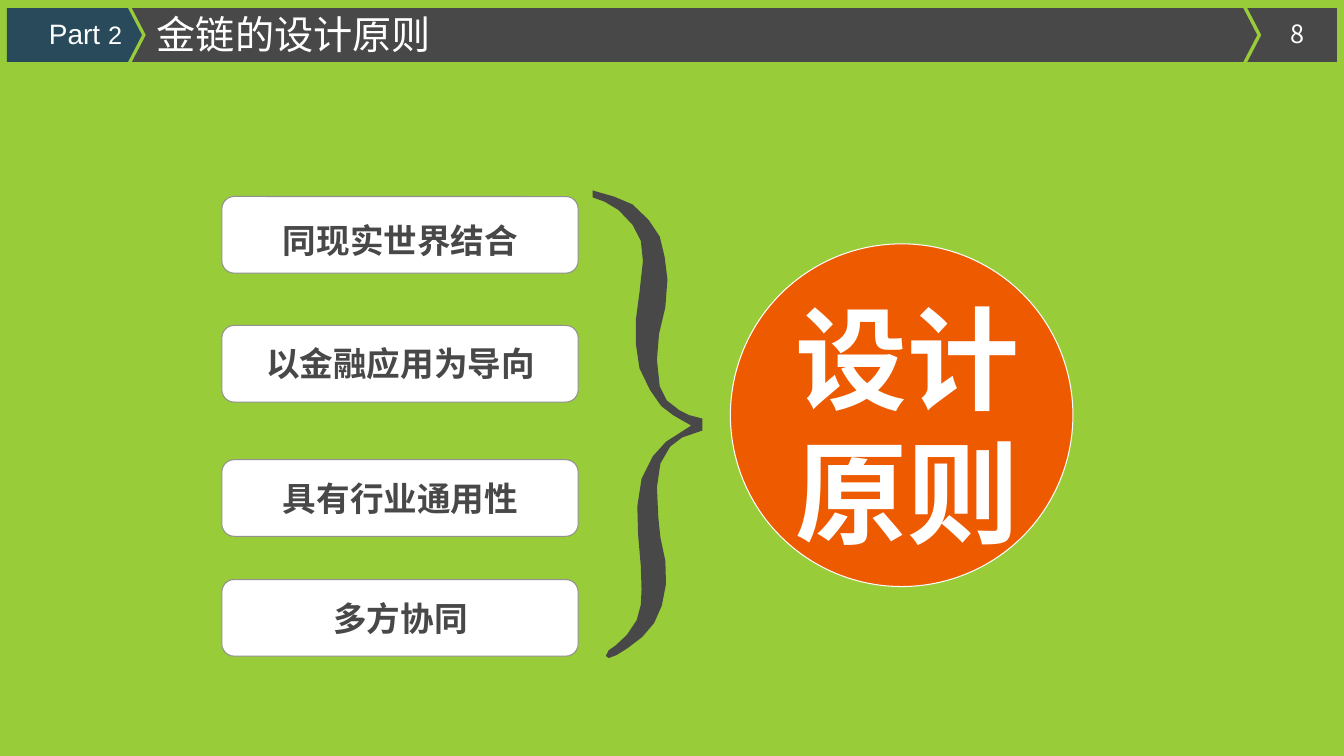
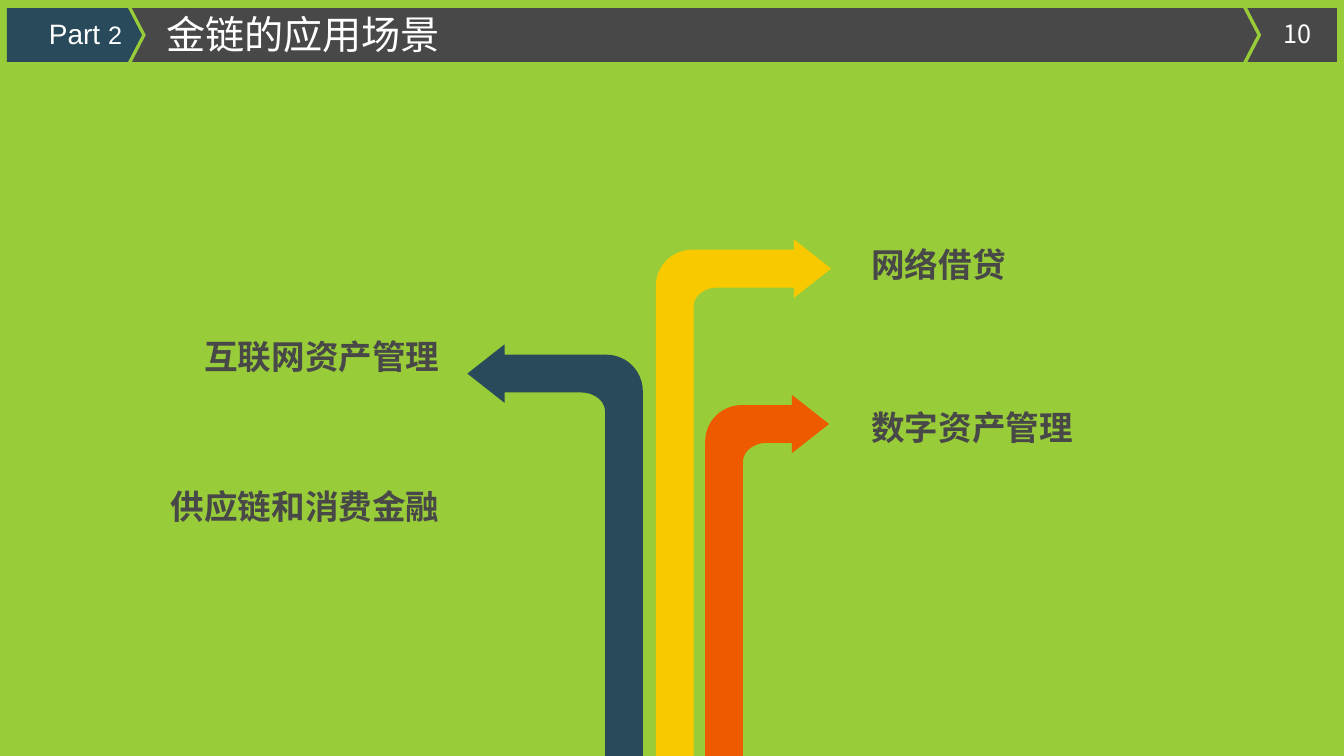
"""Build two slides on the design rules and the uses of the gold chain."""
from math import cos, pi, sin

from lxml import etree
from pptx import Presentation
from pptx.dml.color import RGBColor
from pptx.enum.shapes import MSO_SHAPE
from pptx.enum.text import PP_ALIGN
from pptx.oxml.ns import qn
from pptx.util import Pt

LEFT, MID, RIGHT = PP_ALIGN.LEFT, PP_ALIGN.CENTER, PP_ALIGN.RIGHT
OVAL, ROUND = MSO_SHAPE.OVAL, MSO_SHAPE.ROUNDED_RECTANGLE


class Theme:
    green = RGBColor.from_string("99CC39")
    navy = RGBColor.from_string("294A5A")
    dark = RGBColor.from_string("484849")
    gray = RGBColor.from_string("919192")
    white = RGBColor.from_string("FFFFFF")
    gold = RGBColor.from_string("F9C900")
    red = RGBColor.from_string("ED5A00")
    sans = "Noto Sans CJK SC"
    latin = "Arial"
    huge, title, body, label, small = 80, 28, 24, 20, 18


def text(slide, box, *pieces, size=Theme.body, color=Theme.dark, bold=False,
         align=LEFT, font=Theme.sans, wrap=True):
    """Add a text box; a piece is a string or a (string, size) pair."""
    frame = slide.shapes.add_textbox(*map(Pt, box)).text_frame
    frame.word_wrap = wrap
    para = frame.paragraphs[0]
    para.alignment = align
    for piece in pieces:
        words, points = (piece, size) if isinstance(piece, str) else piece
        run = para.add_run()
        run.text = words
        run.font.size = Pt(points)
        run.font.bold = bold
        run.font.color.rgb = color
        run.font.name = font
        etree.SubElement(run.font._element, qn("a:ea"), typeface=font)


def poly(slide, spots, color):
    """Add a closed filled outline through the given points."""
    first, *rest = [(Pt(x), Pt(y)) for x, y in spots]
    pen = slide.shapes.build_freeform(*first)
    pen.add_line_segments(rest, close=True)
    shape = pen.convert_to_shape()
    shape.shadow.inherit = False
    shape.fill.solid()
    shape.fill.fore_color.rgb = color
    shape.line.fill.background()


deck = Presentation()
deck.slide_width, deck.slide_height = Pt(960.5), Pt(540)
back = deck.slide_master.background.fill
back.solid()
back.fore_color.rgb = Theme.green

TOP, HALF, BASE, NOTCH = 5.8, 25, 44.2, 10
BANDS = [(5, 91.5, False, True, Theme.navy),
         (94.3, 888.5, True, True, Theme.dark),
         (891.5, 955.4, True, False, Theme.dark)]
HEADS = [("金链的设计原则", 105, "8"), ("金链的应用场景", 111.6, "10")]

slides = []
for name, left, page in HEADS:
    slide = deck.slides.add_slide(deck.slide_layouts[6])
    slides.append(slide)
    for start, end, dent, point, color in BANDS:
        poly(slide, [(start, TOP), (end, TOP), (end + NOTCH * point, HALF),
                     (end, BASE), (start, BASE), (start + NOTCH * dent, HALF)], color)
    text(slide, (908, 9.4, 38.8, 28.8), page, size=Theme.small,
         color=Theme.white, align=MID, wrap=False)
    text(slide, (left, 3.6, 396.7, 41), name, size=Theme.title, color=Theme.white)
    text(slide, (10.8, 8.6, 83.5, 31.7), "Part ", ("2", Theme.small), size=Theme.label,
         color=Theme.white, align=RIGHT, font=Theme.latin)

rules, uses = slides

BRACE = [
    (423.5, 141), (423.5, 136), (439, 140.5), (452, 146), (463.5, 157), (471.5, 169),
    (475, 183.5), (477, 199.5), (475.5, 219.5), (471, 238.5), (469.5, 257), (471.5, 276),
    (476.5, 286), (485.5, 293), (492.5, 296.5), (502, 299), (502, 307.5), (487.5, 312.5),
    (479, 319), (472, 331), (469.5, 348), (470.5, 369.5), (472, 384), (475.5, 400.5),
    (476, 417), (473, 432.5), (467.5, 445), (459, 455), (448.5, 463), (440.5, 468),
    (435, 470), (433, 468.5), (435, 464.5), (440, 461), (448, 453.5), (455, 443),
    (458, 432), (458.5, 421), (458, 404.5), (456, 381.5), (455.5, 361.5), (458.5, 342),
    (466.5, 326), (476, 315.5), (494, 304), (481, 296.5), (472.5, 290), (464.5, 278.5),
    (457, 263), (454.5, 246), (454.5, 228), (457, 209), (459.5, 186.5), (458, 172),
    (452, 160.5), (442, 150), (432, 144)]
poly(rules, BRACE, Theme.dark)

CARDS = [("同现实世界结合", 140.4, 153.4), ("以金融应用为导向", 232.5, 241.2),
         ("具有行业通用性", 328.4, 337.6), ("多方协同", 414, 423.4)]
forms = [(ROUND, (158.6, top, 254.6, 54.7), Theme.white, Theme.gray)
         for _, top, _ in CARDS]
forms.append((OVAL, (522, 174.2, 244.8, 244.8), Theme.red, Theme.white))
for kind, box, color, edge in forms:
    shape = rules.shapes.add_shape(kind, *map(Pt, box))
    shape.shadow.inherit = False
    shape.fill.solid()
    shape.fill.fore_color.rgb = color
    shape.line.color.rgb = edge
    shape.line.width = Pt(0)
    if kind == ROUND:
        shape.adjustments[0] = 0.16
for label, _, top in CARDS:
    text(rules, (159.5, top, 253.4, 36), label, bold=True, align=MID)
text(rules, (561.6, 203, 193, 201), "设计原则", size=Theme.huge,
     color=Theme.white, bold=True)

STEM, HEAD, WING, FOOT = 27, 26.6, 20.9, 540
TURN = [pi / 2 * step / 12 for step in range(13)]
ARROWS = [(468.7, 178.4, 594, 1, Theme.gold), (504, 289.4, 592.5, 1, Theme.red),
          (459.4, 253.4, 334, -1, Theme.navy)]
for side, top, tip, way, color in ARROWS:
    axis, neck, inner = top + STEM / 2, tip - way * HEAD, side + way * STEM
    outer = [(side + way * 26 * (1 - cos(t)), top + 26 * (1 - sin(t))) for t in TURN]
    crook = [(inner + way * 17 * (1 - sin(t)), top + STEM + 13.5 * (1 - cos(t)))
             for t in TURN]
    poly(uses, [(side, FOOT), *outer, (neck, top), (neck, axis - WING), (tip, axis),
                (neck, axis + WING), (neck, top + STEM), *crook, (inner, FOOT)], color)

LABELS = [("数字资产管理", 615.6, 287.3, 182, LEFT), ("网络借贷", 615.6, 170.6, 182, LEFT),
          ("互联网资产管理", 134.6, 236.2, 186.5, RIGHT),
          ("供应链和消费金融", 105.1, 343.4, 216, RIGHT)]
for label, left, top, width, align in LABELS:
    text(uses, (left, top, width, 36), label, bold=True, align=align)

deck.save("out.pptx")
